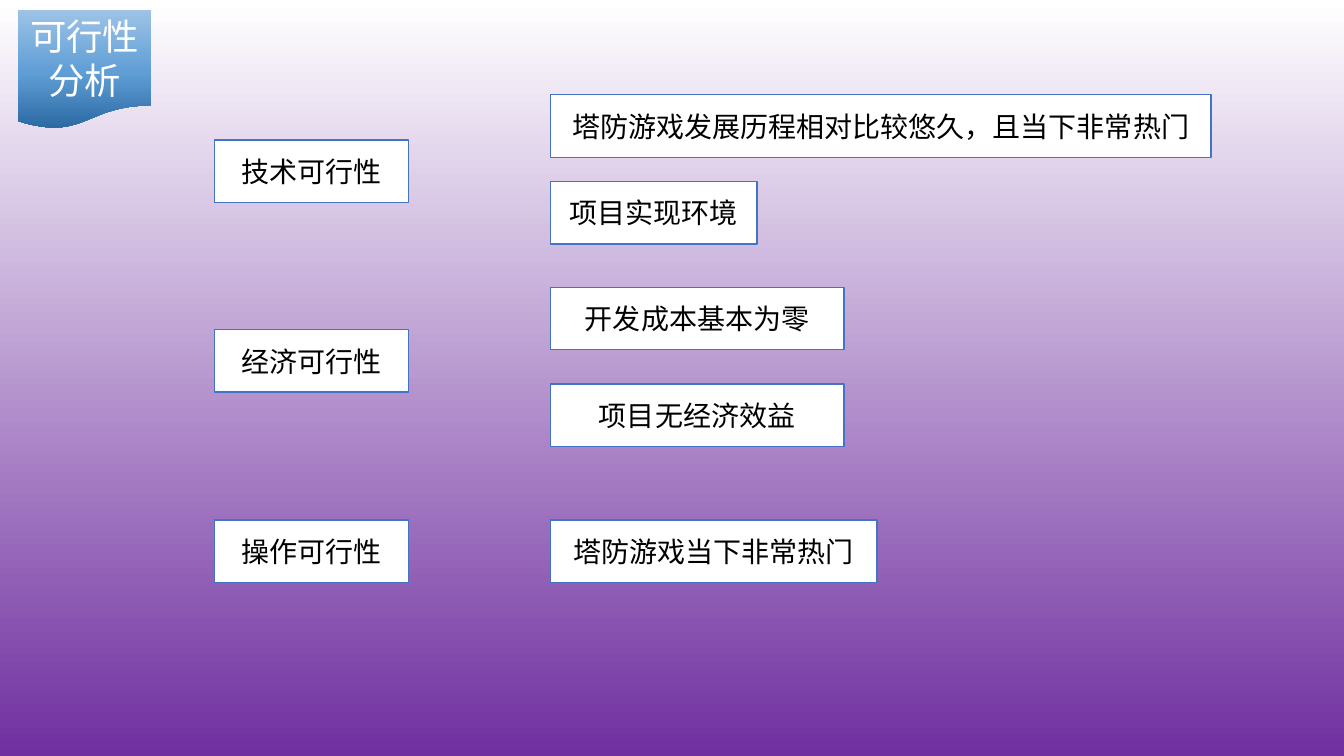
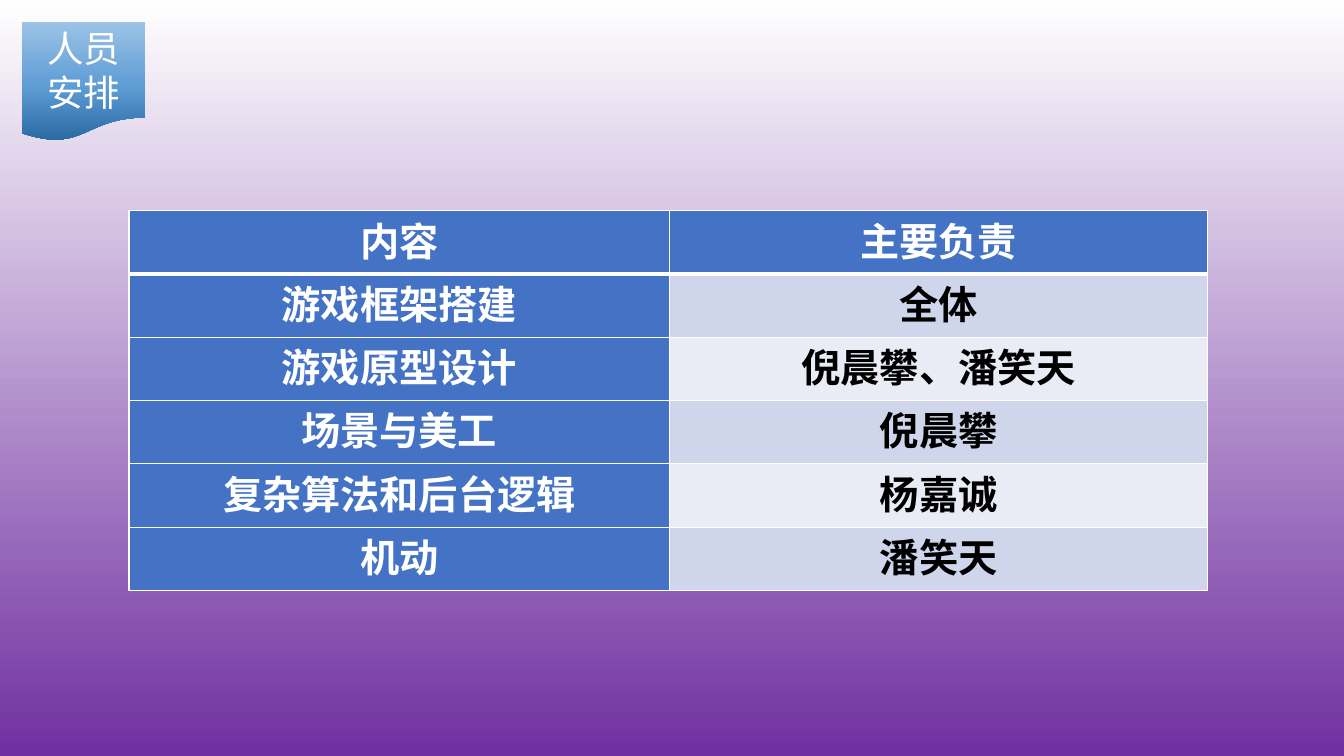
from dataclasses import dataclass

from lxml.etree import SubElement
from pptx import Presentation
from pptx.dml.color import RGBColor
from pptx.enum.shapes import MSO_SHAPE
from pptx.enum.text import MSO_ANCHOR, PP_ALIGN
from pptx.oxml.ns import qn
from pptx.util import Inches, Pt


@dataclass(frozen=True)
class Theme:
    font: str = "Noto Sans CJK SC"
    white: str = "FFFFFF"
    black: str = "000000"
    blue: str = "4472C4"
    row_bands: tuple = ("CFD5EA", "E9EBF5")
    backdrop: tuple = ((0, "FFFFFF"), (100, "7030A0"))
    tag_fill: tuple = ((0, "9DC3E6"), (52, "609ED6"), (100, "2A69A2"))
    tag_size: int = 26
    box_size: int = 20
    table_size: int = 28


THEME = Theme()


def fill_downward(fill, element, stops):
    """Give the fill a top-to-bottom gradient of (percent, colour) stops."""
    fill.gradient()
    fill.gradient_angle = 270
    stop_list = next(element.iter(qn("a:gsLst")))
    stop_list.clear()
    for percent, color in stops:
        stop = SubElement(stop_list, qn("a:gs"), pos=str(percent * 1000))
        SubElement(stop, qn("a:srgbClr"), val=color)


def write_centred(text_frame, text, size, color, bold=False):
    text_frame.text = text
    paragraph = text_frame.paragraphs[0]
    paragraph.alignment = PP_ALIGN.CENTER
    run = paragraph.runs[0]
    run.font.size = Pt(size)
    run.font.bold = bold
    run.font.color.rgb = RGBColor.from_string(color)
    run.font.name = THEME.font
    SubElement(run.font._element, qn("a:ea"), typeface=THEME.font)


prs = Presentation()
prs.slide_width, prs.slide_height = Inches(13.33), Inches(7.5)
master = prs.slide_master
fill_downward(master.background.fill, master._element, THEME.backdrop)

# Each slide carries a title tag in its top left corner
slides = []
for title, left, top, width in [
    ("可行性分析", 0.18, 0.1, 1.32),
    ("人员安排", 0.22, 0.22, 1.22),
]:
    slide = prs.slides.add_slide(prs.slide_layouts[6])
    tag = slide.shapes.add_shape(
        MSO_SHAPE.FLOWCHART_DOCUMENT,
        Inches(left), Inches(top), Inches(width), Inches(1.18),
    )
    tag.shadow.inherit = False
    fill_downward(tag.fill, tag._element, THEME.tag_fill)
    tag.line.fill.background()
    write_centred(tag.text_frame, title, THEME.tag_size, THEME.white)
    slides.append(slide)
feasibility, staffing = slides

# Feasibility: aspects on the left, their reasons on the right
ASPECT_LEFT, ASPECT_WIDTH = 2.13, 1.92
REASON_LEFT = 5.46
aspects = [("技术可行性", 1.39), ("经济可行性", 3.27), ("操作可行性", 5.16)]
reasons = [
    ("塔防游戏发展历程相对比较悠久，且当下非常热门", 0.94, 6.55),
    ("项目实现环境", 1.8, 2.05),
    ("开发成本基本为零", 2.85, 2.91),
    ("项目无经济效益", 3.81, 2.91),
    ("塔防游戏当下非常热门", 5.16, 3.24),
]
boxes = [(text, ASPECT_LEFT, top, ASPECT_WIDTH) for text, top in aspects]
boxes += [(text, REASON_LEFT, top, width) for text, top, width in reasons]
for text, left, top, width in boxes:
    box = feasibility.shapes.add_shape(
        MSO_SHAPE.RECTANGLE,
        Inches(left), Inches(top), Inches(width), Inches(0.62),
    )
    box.shadow.inherit = False
    box.fill.solid()
    box.fill.fore_color.rgb = RGBColor.from_string(THEME.white)
    box.line.color.rgb = RGBColor.from_string(THEME.blue)
    box.line.width = Pt(1)
    write_centred(box.text_frame, text, THEME.box_size, THEME.black)

# Staffing: who is responsible for what
duties = [
    ("内容", "主要负责"),
    ("游戏框架搭建", "全体"),
    ("游戏原型设计", "倪晨攀、潘笑天"),
    ("场景与美工", "倪晨攀"),
    ("复杂算法和后台逻辑", "杨嘉诚"),
    ("机动", "潘笑天"),
]
duty_table = staffing.shapes.add_table(
    len(duties), 2, Inches(1.28), Inches(2.09), Inches(10.7), Inches(3.77)
).table
duty_table.columns[0].width = Inches(5.36)
duty_table.columns[1].width = Inches(5.34)
for row_index, duty in enumerate(duties):
    for column_index, text in enumerate(duty):
        cell = duty_table.cell(row_index, column_index)
        cell.margin_left = cell.margin_right = Inches(0.18)
        cell.margin_top = cell.margin_bottom = 0
        cell.vertical_anchor = MSO_ANCHOR.TOP
        is_heading = row_index == 0 or column_index == 0
        fill_color = THEME.blue if is_heading else THEME.row_bands[(row_index - 1) % 2]
        text_color = THEME.white if is_heading else THEME.black
        write_centred(cell.text_frame, text, THEME.table_size, text_color, bold=True)

        # Borders come before the fill in the cell properties
        properties = cell._tc.get_or_add_tcPr()
        for side in ("L", "R", "T", "B"):
            below_header = (row_index, side) in [(0, "B"), (1, "T")]
            border = SubElement(
                properties, qn(f"a:ln{side}"), w=str(Pt(3 if below_header else 1))
            )
            border_fill = SubElement(border, qn("a:solidFill"))
            SubElement(border_fill, qn("a:srgbClr"), val=THEME.white)
        cell.fill.solid()
        cell.fill.fore_color.rgb = RGBColor.from_string(fill_color)

prs.save("out.pptx")
